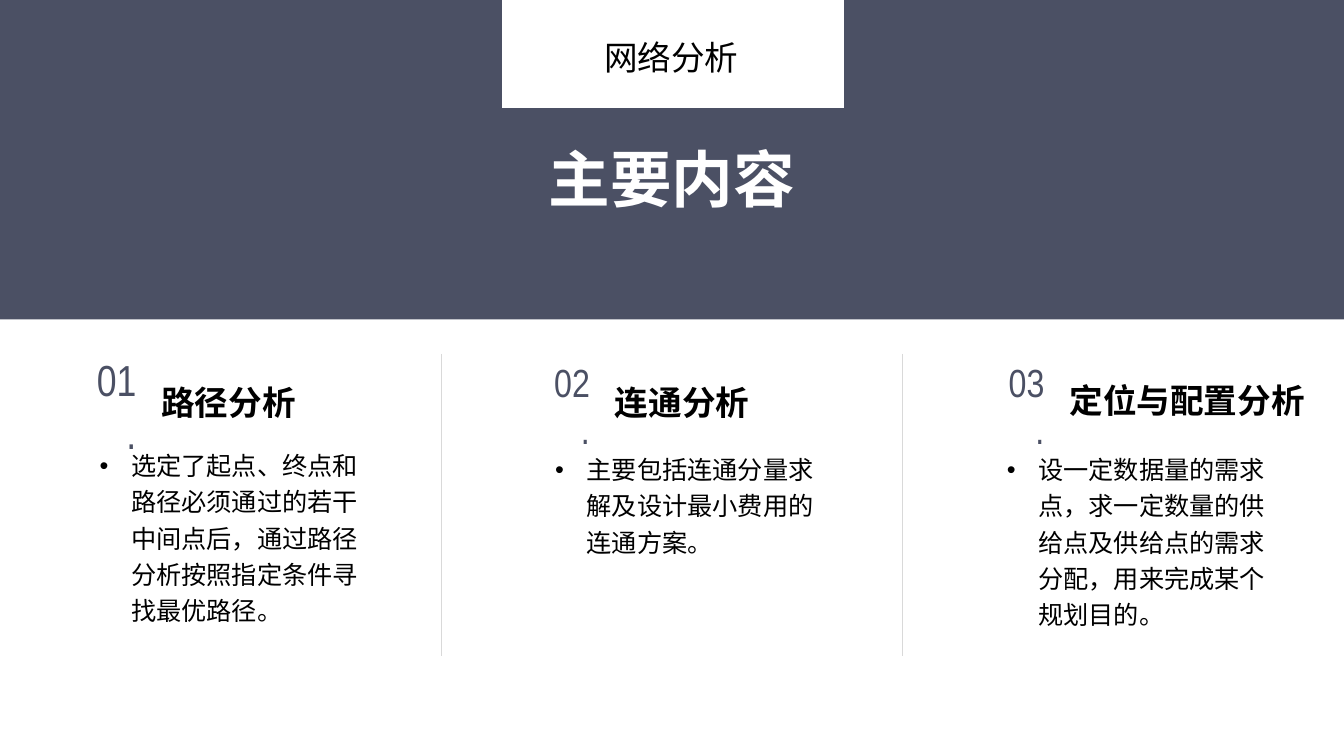
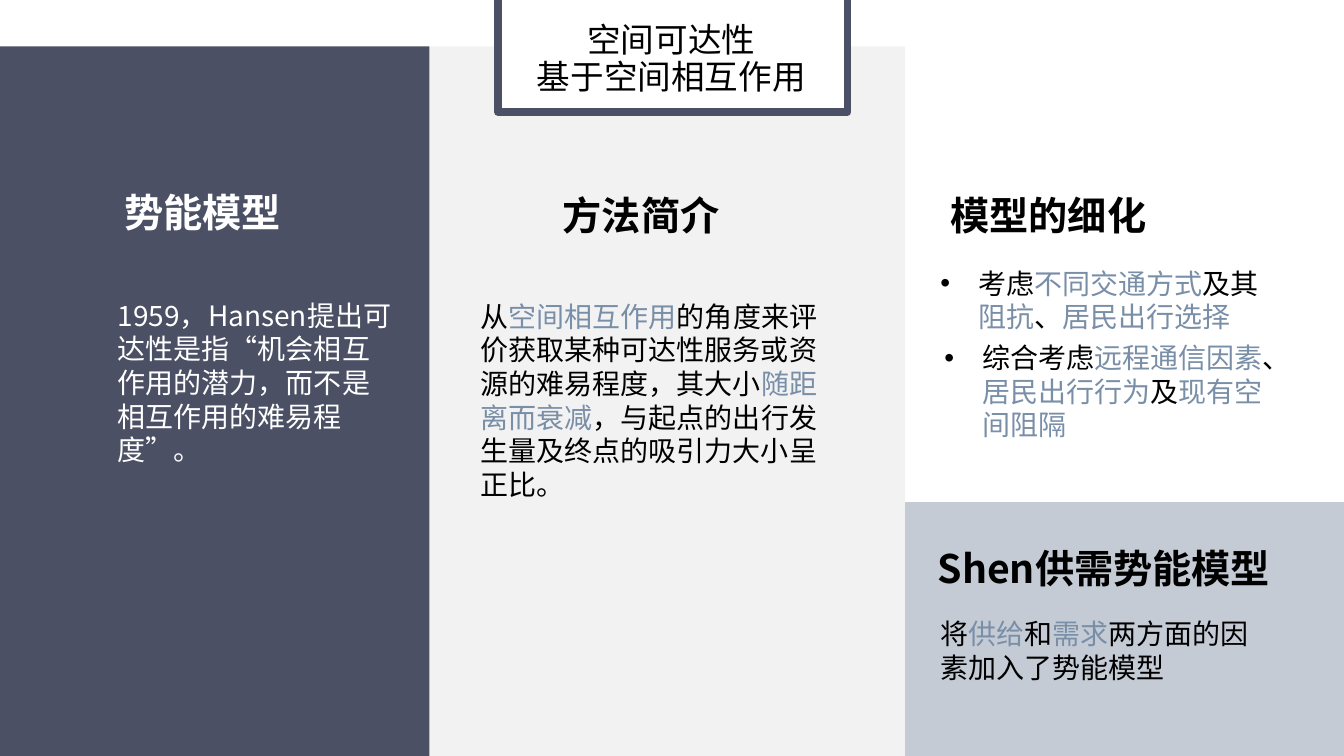
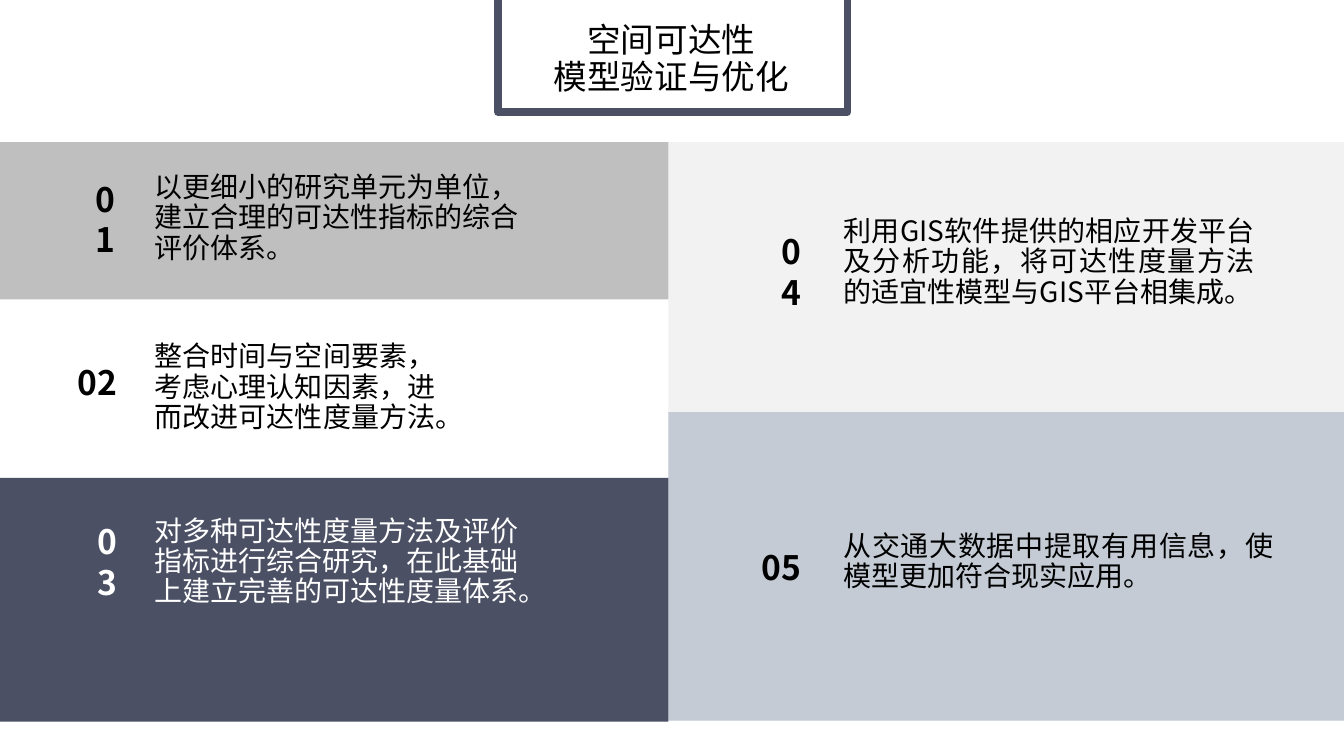
"""Build three slides on network analysis and spatial accessibility."""
from lxml.etree import SubElement
from pptx import Presentation
from pptx.dml.color import RGBColor
from pptx.enum.shapes import MSO_CONNECTOR, MSO_SHAPE
from pptx.enum.text import MSO_ANCHOR, PP_ALIGN
from pptx.oxml.ns import qn
from pptx.util import Pt

WIDTH, HEIGHT = 960, 540
COLORS = {
    "dark": "4B5064", "blue": "C4CBD5", "pale": "F2F2F2", "grey": "BFBFBF",
    "rule": "D9D9D9", "accent": "798EA7", "white": "FFFFFF", "black": "000000",
}
CHINESE_FONT = "Noto Sans CJK SC"
NUMBER_FONT = "Arial Narrow"
LEFT, CENTER, RIGHT, JUSTIFY = PP_ALIGN.LEFT, PP_ALIGN.CENTER, PP_ALIGN.RIGHT, PP_ALIGN.JUSTIFY

TOPICS = [
    {"number": "01.", "size": 31, "left": 59.8, "heading": "路径分析", "heading_top": 269.3,
     "body_box": (64.1, 313.9, 198.7, 177),
     "body": "选定了起点、终点和路径必须通过的若干中间点后，通过路径分析按照指定条件寻找最优路径。"},
    {"number": "02.", "size": 28, "left": 383.8, "heading": "连通分析", "heading_top": 269.3,
     "body_box": (389.5, 316.8, 213.1, 177),
     "body": "主要包括连通分量求解及设计最小费用的连通方案。"},
    {"number": "03.", "size": 28, "left": 708.5, "heading": "定位与配置分析", "heading_top": 267.8,
     "body_box": (712.1, 316.8, 213.1, 177),
     "body": "设一定数据量的需求点，求一定数量的供给点及供给点的需求分配，用来完成某个规划目的。"},
]
DIVIDERS = [315.4, 644.4]

MODEL_PANELS = [
    ("pale", (306.7, 33.1, 339.9, 506.9)),
    ("blue", (646.6, 358.6, 313.4, 181.4)),
    ("dark", (0, 33.1, 306.7, 506.9)),
]
MODEL_HEADINGS = [
    ("方法简介", (342, 131, 231.8, 49.7), "black"),
    ("势能模型", (28.8, 128.9, 231.8, 49.7), "white"),
    ("Shen供需势能模型", (659.5, 383, 257.8, 49.7), "black"),
    ("模型的细化", (619.9, 131, 257.8, 49.7), "black"),
]
MODEL_BODIES = [
    ("从|空间相互作用|的角度来评价获取某种可达性服务或资源的难易程度，其大小|随距离而衰减|"
     "，与起点的出行发生量及终点的吸引力大小呈正比。", (336.2, 210.2, 264.2, 152.6), "black", 0),
    ("1959，Hansen提出可达性是指“机会相互作用的潜力，而不是相互作用的难易程度”。",
     (77, 209.5, 210.2, 128.2), "white", 0),
    ("将|供给|和|需求|两方面的因素加入了势能模型", (664.6, 437, 251.3, 55.4), "black", 0),
    ("考虑|不同交通方式|及其|阻抗|、|居民出行选择", (664.6, 186.5, 246.2, 55.4), "black", 27),
    ("综合考虑|远程通信因素|、|居民出行行为|及|现有空间阻隔",
     (667.4, 239.8, 243.4, 79.9), "black", 27),
]

STEP_PANELS = [
    ("pale", (477.4, 101.5, 482.6, 413.3)),
    ("blue", (477.4, 294.5, 482.6, 220.3)),
    ("dark", (0, 341.3, 477.4, 174.2)),
    ("grey", (0, 101.5, 477.4, 112.3)),
]
STEPS = [
    ("01", (54.7, 142.6, 34.6, 27.4), RIGHT,
     "以更细小的研究单元为单位，建立合理的可达性指标的综合评价体系。",
     (103, 119.5, 284.4, 73.4), LEFT, "black"),
    ("02", (48.2, 257.8, 47.5, 30.2), LEFT,
     "整合时间与空间要素，考虑心理认知因素，进而改进可达性度量方法。",
     (103, 240.5, 215.3, 73.4), JUSTIFY, "black"),
    ("03", (52.6, 391, 38.2, 20.2), RIGHT,
     "对多种可达性度量方法及评价指标进行综合研究，在此基础上建立完善的可达性度量体系。",
     (103, 360, 284.4, 83.5), LEFT, "white"),
    ("04", (546.5, 182.9, 33.1, 22.3), RIGHT,
     "利用GIS软件提供的相应开发平台及分析功能，将可达性度量方法的适宜性模型与GIS平台相集成。",
     (595.4, 142.6, 308.2, 90), JUSTIFY, "black"),
    ("05", (537.1, 391, 193.7, 27.4), LEFT,
     "从交通大数据中提取有用信息，使模型更加符合现实应用。",
     (595.4, 360, 321.1, 83.5), JUSTIFY, "black"),
]


def rgb(color):
    return RGBColor.from_string(COLORS[color])


def points(box):
    return [Pt(length) for length in box]


def add_panel(slide, box, fill, line=None, line_width=0):
    panel = slide.shapes.add_shape(MSO_SHAPE.RECTANGLE, *points(box))
    panel.shadow.inherit = False
    panel.fill.solid()
    panel.fill.fore_color.rgb = rgb(fill)
    if line:
        panel.line.color.rgb = rgb(line)
        panel.line.width = Pt(line_width)
    else:
        panel.line.fill.background()


def add_text(slide, text, box, size, color="black", bold=False, align=LEFT, anchor=MSO_ANCHOR.TOP,
             spacing=None, indent=0, wrap=True, font_name=CHINESE_FONT):
    """Add a text box; bars enclose accented words and newlines break lines."""
    frame = slide.shapes.add_textbox(*points(box)).text_frame
    frame.word_wrap = wrap
    frame.vertical_anchor = anchor
    paragraph = frame.paragraphs[0]
    paragraph.alignment = align
    if spacing:
        paragraph.line_spacing = spacing
    if indent:
        properties = paragraph._p.get_or_add_pPr()
        properties.set("marL", str(Pt(indent)))
        properties.set("indent", str(-Pt(indent)))
        SubElement(properties, qn("a:buFont"), typeface="Arial")
        SubElement(properties, qn("a:buChar"), char="•")
    font = paragraph.font
    font.name, font.size, font.bold = font_name, Pt(size), bold
    font.color.rgb = rgb(color)
    SubElement(font._element, qn("a:ea"), typeface=font_name)
    for line_index, line in enumerate(text.split("\n")):
        if line_index:
            paragraph.add_line_break()
        for part_index, part in enumerate(line.split("|")):
            run = paragraph.add_run()
            run.text = part
            if part_index % 2:
                run.font.color.rgb = rgb("accent")


def add_divider(slide, left):
    divider = slide.shapes.add_connector(
        MSO_CONNECTOR.STRAIGHT, *points((left, 252.7, left, 468.7)))
    divider.line.color.rgb = rgb("rule")
    divider.line.width = Pt(0.25)
    SubElement(divider._element.spPr, qn("a:effectLst"))


def add_slide(presentation, title, panels):
    slide = presentation.slides.add_slide(presentation.slide_layouts[6])
    for fill, box in panels:
        add_panel(slide, box, fill)
    add_panel(slide, (355.7, -43.2, 249.8, 123.1), "white", "dark", 5.5)
    add_text(slide, title, (363.6, 18, 231.8, 49.7), 24, align=CENTER,
             anchor=MSO_ANCHOR.MIDDLE, spacing=0.9)
    return slide


def build_topics(presentation):
    slide = add_slide(presentation, "网络分析", [("dark", (0, 0, WIDTH, 228.2))])
    add_text(slide, "主要内容", (52.6, 92.9, 854.6, 64.1), 44, "white", True, CENTER,
             MSO_ANCHOR.BOTTOM)
    for topic in TOPICS:
        add_text(slide, topic["number"], (topic["left"], 265.7, 44.6, 48.2), topic["size"], "dark",
                 align=RIGHT, anchor=MSO_ANCHOR.MIDDLE, font_name=NUMBER_FONT)
        add_text(slide, topic["heading"], (topic["left"] + 48.4, topic["heading_top"], 203, 36),
                 24, bold=True)
        add_text(slide, topic["body"], topic["body_box"], 18, spacing=1.2, indent=22.5)
    for left in DIVIDERS:
        add_divider(slide, left)


def build_models(presentation):
    slide = add_slide(presentation, "空间可达性\n基于空间相互作用", MODEL_PANELS)
    for heading, box, color in MODEL_HEADINGS:
        add_text(slide, heading, box, 28, color, True, CENTER, MSO_ANCHOR.MIDDLE, 0.9)
    for body, box, color, indent in MODEL_BODIES:
        add_text(slide, body, box, 20, color, indent=indent)


def build_steps(presentation):
    slide = add_slide(presentation, "空间可达性\n模型验证与优化", STEP_PANELS)
    for number, number_box, number_align, body, body_box, body_align, color in STEPS:
        add_text(slide, number, number_box, 24, color, True, number_align, MSO_ANCHOR.MIDDLE,
                 wrap=False)
        add_text(slide, body, body_box, 20, color, align=body_align, anchor=MSO_ANCHOR.MIDDLE,
                 spacing=0.9)


def main():
    presentation = Presentation()
    presentation.slide_width, presentation.slide_height = Pt(WIDTH), Pt(HEIGHT)
    build_topics(presentation)
    build_models(presentation)
    build_steps(presentation)
    presentation.save("out.pptx")


if __name__ == "__main__":
    main()
